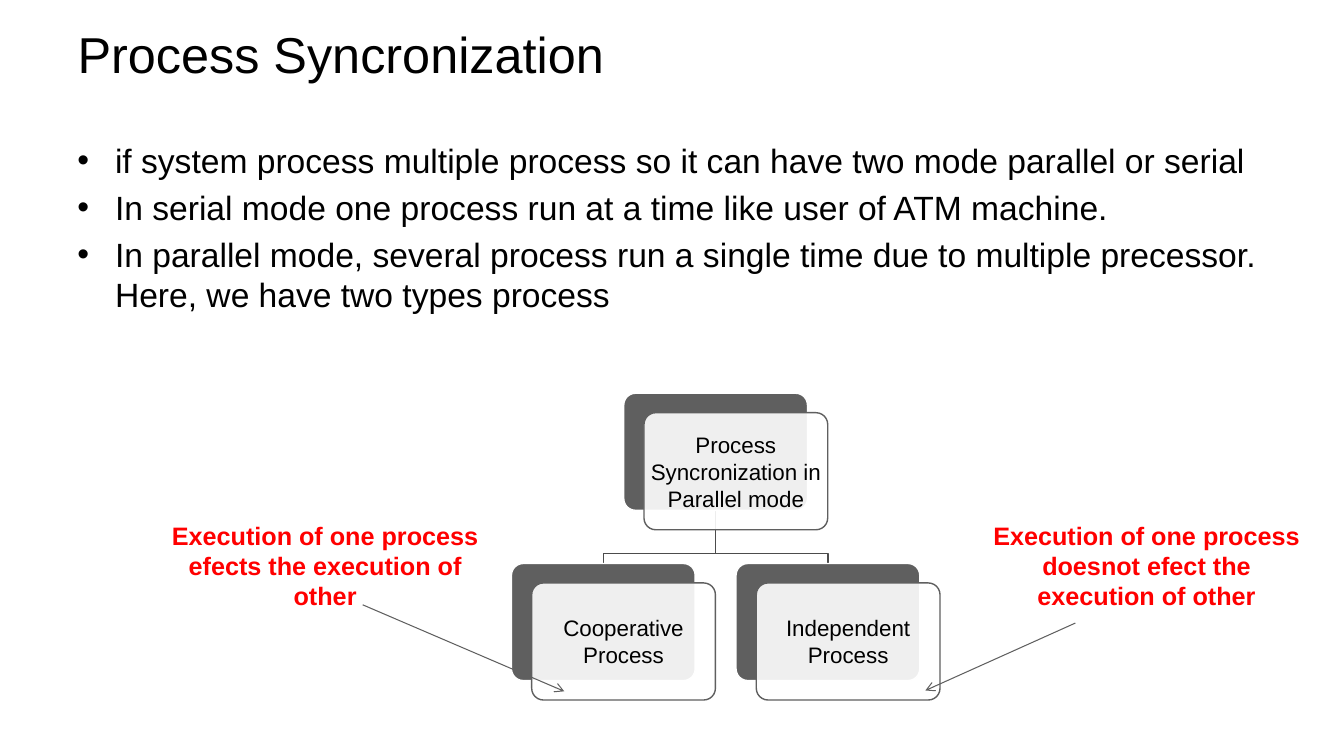
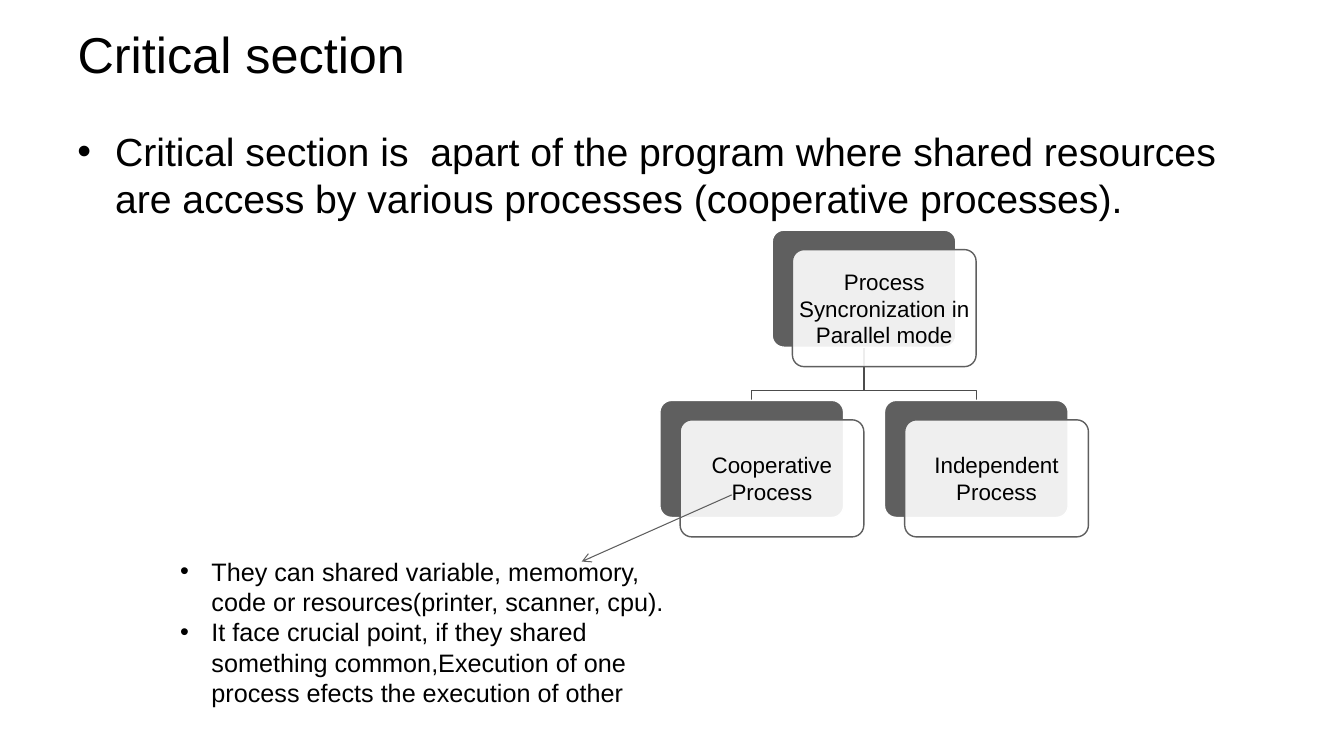
from dataclasses import dataclass
from typing import Any

from lxml.etree import SubElement
from pptx import Presentation
from pptx.dml.color import RGBColor
from pptx.enum.shapes import MSO_CONNECTOR, MSO_SHAPE
from pptx.enum.text import MSO_ANCHOR, MSO_AUTO_SIZE, PP_ALIGN
from pptx.oxml.ns import qn
from pptx.util import Cm, Pt

BLACK, WHITE, RED = "000000", "FFFFFF", "FF0000"
CARD_GREY, BRANCH_GREY = "5F5F5F", "4C4C4C"
FONT = "Arial"
CARD_WIDTH, CARD_HEIGHT = 4.63, 2.95
FRONT_SHIFT_X, FRONT_SHIFT_Y = 0.51, 0.49
CHILD_SHIFT_X, CHILD_SHIFT_Y = 2.83, 4.29
BRANCH_GAP = 0.25
FRAME_FORMAT = {"word_wrap": True, "auto_size": MSO_AUTO_SIZE.NONE}
ROOT_LABEL = "Process Syncronization in Parallel mode"
CHILD_LABELS = {-1: "Cooperative Process", 1: "Independent Process"}


@dataclass(frozen=True)
class Area:
    """A rectangle in centimetres."""

    left: float
    top: float
    width: float
    height: float

    def lengths(self) -> list[Cm]:
        """Return the four lengths in the order python-pptx expects."""
        return [Cm(value) for value in (self.left, self.top, self.width, self.height)]


@dataclass(frozen=True)
class TextBlock:
    """A text box with its paragraphs and their look."""

    area: Area
    lines: tuple[str, ...]
    size: float
    color: str = BLACK
    bold: bool = False
    align: PP_ALIGN = PP_ALIGN.LEFT
    hanging: float = 0
    gap: float = 0


@dataclass(frozen=True)
class Arrow:
    """A straight arrow between two points in centimetres."""

    start: tuple[float, float]
    end: tuple[float, float]


@dataclass(frozen=True)
class Page:
    """The content of one slide."""

    title: str
    blocks: tuple[TextBlock, ...]
    tree_left: float
    tree_top: float
    arrows: tuple[Arrow, ...]


TITLE_AREA = Area(1.7, 0.53, 30.48, 1.63)

PAGES = (
    Page(
        "Process Syncronization",
        (
            TextBlock(
                Area(1.7, 3.4, 30.48, 13.6),
                (
                    "if system process multiple process so it can have two mode parallel or serial",
                    "In serial mode one process run at a time like user of ATM machine.",
                    "In parallel mode, several process run a single time due to multiple precessor. "
                    "Here, we have two types process",
                ),
                24, hanging=0.95, gap=4.8,
            ),
            TextBlock(
                Area(24.59, 12.98, 8.61, 2.57),
                ("Execution of one process doesnot efect the execution of other",),
                18, RED, True, PP_ALIGN.CENTER,
            ),
            TextBlock(
                Area(3.89, 12.98, 8.61, 2.57),
                ("Execution of one process efects the execution of other",),
                18, RED, True, PP_ALIGN.CENTER,
            ),
        ),
        15.72, 9.91,
        (
            Arrow((9.14, 15.24), (14.22, 17.42)),
            Arrow((27.1, 15.7), (23.32, 17.4)),
        ),
    ),
    Page(
        "Critical section",
        (
            TextBlock(
                Area(1.7, 3.08, 30.48, 14),
                (
                    "Critical section is  apart of the program where shared resources are access "
                    "by various processes (cooperative processes).",
                ),
                28, hanging=0.95,
            ),
            TextBlock(
                Area(4.29, 13.89, 13.23, 4.88),
                (
                    "They can shared variable, memomory, code or resources(printer, scanner, cpu).",
                    "It face crucial point, if they shared something common,Execution of one "
                    "process efects the execution of other",
                ),
                18, hanging=0.79,
            ),
        ),
        19.46, 5.8,
        (Arrow((18.44, 12.47), (14.66, 14.15)),),
    ),
)


def apply_format(target: Any, values: dict[str, Any]) -> None:
    """Set each named attribute on the target."""
    for name, value in values.items():
        setattr(target, name, value)


def set_color(target: Any, color: str) -> None:
    """Give a solid fill, line or font its hex colour."""
    if hasattr(target, "solid"):
        target.solid()
        target = target.fore_color
    else:
        target = target.color
    target.rgb = RGBColor.from_string(color)


def set_line(shape: Any, color: str, width: float) -> None:
    """Give a shape its outline."""
    set_color(shape.line, color)
    shape.line.width = Pt(width)


def write_span(para: Any, text: str, size: float, color: str = BLACK, bold: bool = False) -> None:
    """Add one formatted run to a paragraph."""
    span = para.add_run()
    span.text = text
    apply_format(span.font, {"name": FONT, "size": Pt(size), "bold": bold})
    set_color(span.font, color)


def add_bullet(para: Any, hanging: float) -> None:
    """Give a paragraph a round bullet and a hanging indent."""
    properties = para._p.get_or_add_pPr()
    properties.set("marL", str(Cm(hanging)))
    properties.set("indent", str(-Cm(hanging)))
    SubElement(properties, qn("a:buFont"), typeface=FONT)
    SubElement(properties, qn("a:buChar"), char="•")


def draw_title(slide: Any, text: str) -> None:
    """Place and fill the title placeholder."""
    title = slide.shapes.title
    apply_format(title, dict(zip(("left", "top", "width", "height"), TITLE_AREA.lengths())))
    apply_format(title.text_frame, FRAME_FORMAT | {"vertical_anchor": MSO_ANCHOR.MIDDLE})
    para = title.text_frame.paragraphs[0]
    para.alignment = PP_ALIGN.LEFT
    write_span(para, text, 36)


def draw_block(slide: Any, block: TextBlock) -> None:
    """Draw a text box with plain or bulleted paragraphs."""
    frame = slide.shapes.add_textbox(*block.area.lengths()).text_frame
    apply_format(frame, FRAME_FORMAT)
    for index, line in enumerate(block.lines):
        para = frame.add_paragraph() if index else frame.paragraphs[0]
        if block.hanging:
            add_bullet(para, block.hanging)
        para.alignment = block.align
        para.space_before = Pt(block.gap if index else 0)
        write_span(para, line, block.size, block.color, block.bold)


def draw_panel(slide: Any, left: float, top: float, fill: str, line: str) -> Any:
    """Draw one rounded panel of a card."""
    area = Area(left, top, CARD_WIDTH, CARD_HEIGHT)
    panel = slide.shapes.add_shape(MSO_SHAPE.ROUNDED_RECTANGLE, *area.lengths())
    panel.adjustments[0] = 0.1
    panel.shadow.inherit = False
    set_color(panel.fill, fill)
    set_line(panel, line, 1)
    return panel


def draw_card(slide: Any, left: float, top: float, label: str) -> None:
    """Draw a dark back panel and a labelled front panel."""
    draw_panel(slide, left, top, CARD_GREY, WHITE)
    front = draw_panel(slide, left + FRONT_SHIFT_X, top + FRONT_SHIFT_Y, WHITE, CARD_GREY)
    fill_color = front.element.spPr.find(f"{qn('a:solidFill')}/{qn('a:srgbClr')}")
    SubElement(fill_color, qn("a:alpha"), val="90000")
    margins = dict.fromkeys(
        ("margin_left", "margin_right", "margin_top", "margin_bottom"), Cm(0.05)
    )
    apply_format(front.text_frame, FRAME_FORMAT | margins | {"vertical_anchor": MSO_ANCHOR.MIDDLE})
    para = front.text_frame.paragraphs[0]
    para.alignment = PP_ALIGN.CENTER
    write_span(para, label, 16)


def draw_branch(slide: Any, left: float, top: float, side: int) -> None:
    """Draw the elbow line from the root card to one child card."""
    start_x, start_y = left + CARD_WIDTH / 2, top + CARD_HEIGHT
    end_x, end_y = start_x + side * CHILD_SHIFT_X, top + CHILD_SHIFT_Y
    bend_y = end_y - BRANCH_GAP
    builder = slide.shapes.build_freeform(Cm(start_x), Cm(start_y))
    corners = ((start_x, bend_y), (end_x, bend_y), (end_x, end_y))
    builder.add_line_segments([(Cm(x), Cm(y)) for x, y in corners], close=False)
    branch = builder.convert_to_shape()
    branch.shadow.inherit = False
    branch.fill.background()
    set_line(branch, BRANCH_GREY, 1)


def draw_tree(slide: Any, left: float, top: float) -> None:
    """Draw the root card, its branches and its children."""
    for side in CHILD_LABELS:
        draw_branch(slide, left, top, side)
    draw_card(slide, left, top, ROOT_LABEL)
    for side, label in CHILD_LABELS.items():
        draw_card(slide, left + side * CHILD_SHIFT_X, top + CHILD_SHIFT_Y, label)


def draw_arrow(slide: Any, arrow: Arrow) -> None:
    """Draw a thin line with an open arrowhead at its end."""
    points = [Cm(value) for value in (*arrow.start, *arrow.end)]
    connector = slide.shapes.add_connector(MSO_CONNECTOR.STRAIGHT, *points)
    set_line(connector, CARD_GREY, 0.75)
    properties = connector.element.spPr
    SubElement(properties.find(qn("a:ln")), qn("a:tailEnd"), type="arrow")
    SubElement(properties, qn("a:effectLst"))


def draw_page(deck: Any, page: Page) -> None:
    """Add one slide with its title, text, tree and arrows."""
    slide = deck.slides.add_slide(deck.slide_layouts.get_by_name("Title Only"))
    draw_title(slide, page.title)
    main_block, *notes = page.blocks
    draw_block(slide, main_block)
    draw_tree(slide, page.tree_left, page.tree_top)
    for note in notes:
        draw_block(slide, note)
    for arrow in page.arrows:
        draw_arrow(slide, arrow)


def main() -> None:
    """Build and save the deck."""
    deck = Presentation()
    apply_format(deck, {"slide_width": Cm(33.87), "slide_height": Cm(19.05)})
    for page in PAGES:
        draw_page(deck, page)
    deck.save("out.pptx")


if __name__ == "__main__":
    main()
